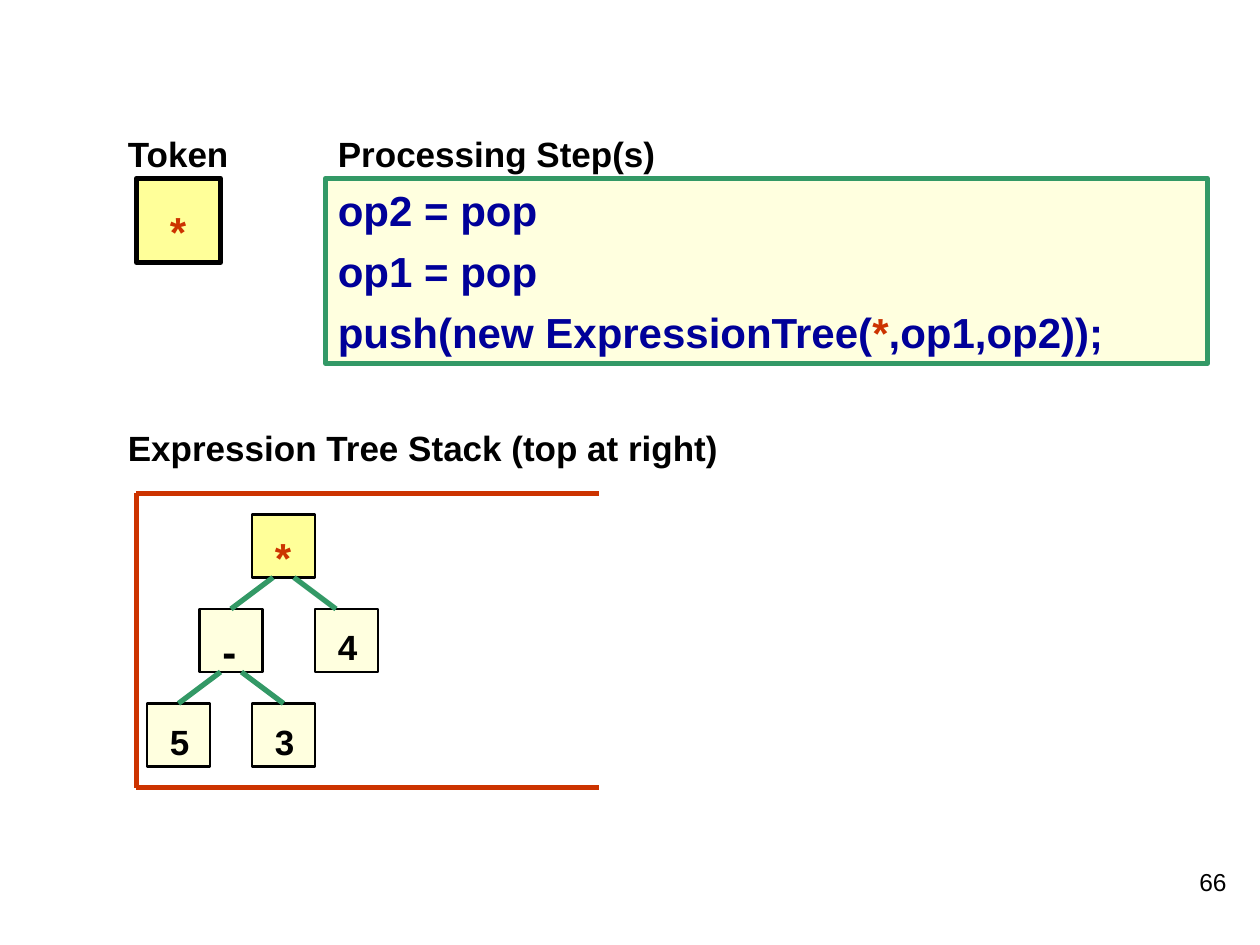
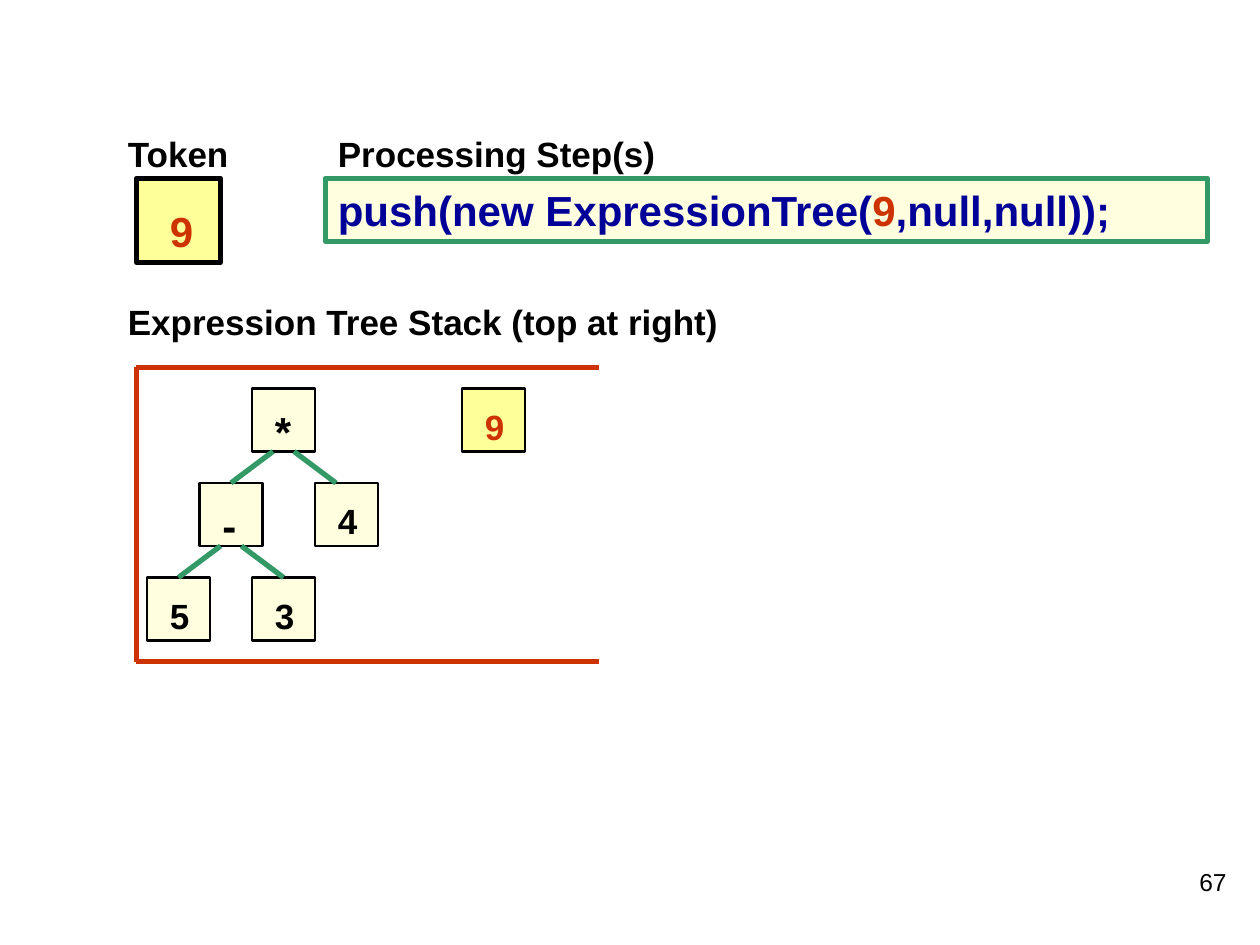
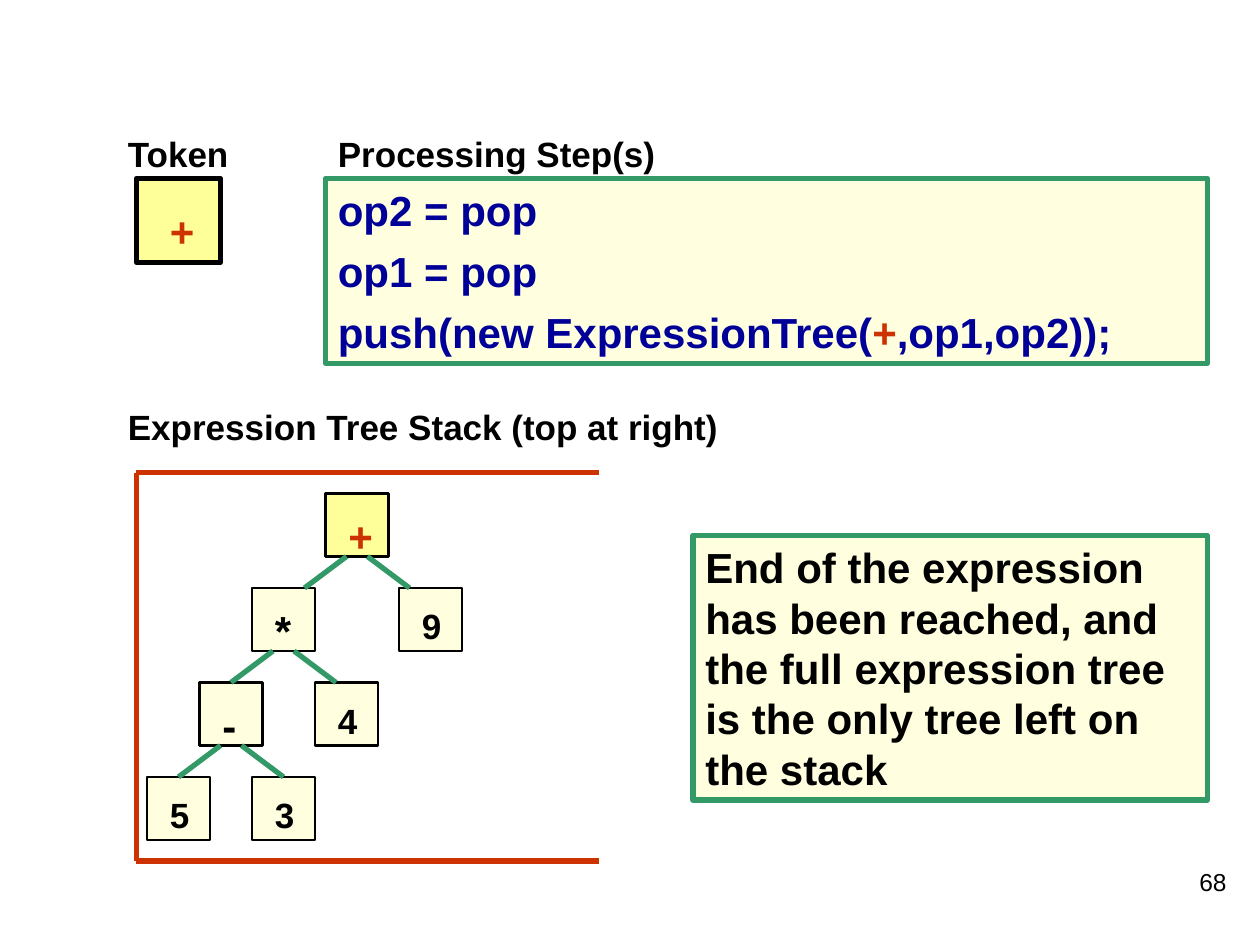
from dataclasses import dataclass

import pptx
import pptx.dml.color
import pptx.enum.shapes
import pptx.enum.text
import pptx.oxml.ns
import pptx.util
from lxml import etree

Pt = pptx.util.Pt
ALIGN = pptx.enum.text.PP_ALIGN


@dataclass(frozen=True)
class Theme:
    font: str = "Arial"
    ink: str = "000000"
    code: str = "000099"
    accent: str = "CC3300"
    green: str = "339966"
    cream: str = "FFFFDF"
    yellow: str = "FFFF99"
    large: int = 24
    medium: int = 20
    small: int = 14
    leading: float = 1.2
    step_gap: int = 6
    inset_x: float = 7.2
    inset_y: float = 3.6
    thick: float = 3
    thin: float = 1.5


THEME = Theme()
NODE = 36
LEVEL_STEP = 54


@dataclass(frozen=True)
class Node:
    symbol: str
    left: int  # offset from the left wall of the stack
    children: tuple = ()


def color(value):
    return pptx.dml.color.RGBColor.from_string(value)


def text_height(size, lines=1):
    """Height of a box that holds the given number of lines."""
    return lines * size * THEME.leading + 2 * THEME.inset_y


def write_text(shape, text, size=THEME.medium, ink=THEME.ink, bold=True,
               align=ALIGN.LEFT, space_before=0):
    """Fill a shape with paragraphs; a paragraph is a string or (text, colour) runs."""
    frame = shape.text_frame
    frame.word_wrap = True
    frame.vertical_anchor = pptx.enum.text.MSO_ANCHOR.TOP
    frame.margin_left = frame.margin_right = Pt(THEME.inset_x)
    frame.margin_top = frame.margin_bottom = Pt(THEME.inset_y)
    paragraphs = [text] if isinstance(text, str) else text
    for index, content in enumerate(paragraphs):
        paragraph = frame.add_paragraph() if index else frame.paragraphs[0]
        paragraph.alignment = align
        paragraph.line_spacing = Pt(size * THEME.leading)
        if index:
            paragraph.space_before = Pt(space_before)
        runs = [(content, ink)] if isinstance(content, str) else content
        for run_text, run_color in runs:
            run = paragraph.add_run()
            run.text = run_text
            run.font.name = THEME.font
            run.font.size = Pt(size)
            run.font.bold = bold
            run.font.color.rgb = color(run_color)


def add_text(slide, left, top, width, height, text, **text_format):
    box = slide.shapes.add_textbox(Pt(left), Pt(top), Pt(width), Pt(height))
    write_text(box, text, **text_format)


def add_box(slide, left, top, width, height, fill, line, weight):
    shape = slide.shapes.add_shape(pptx.enum.shapes.MSO_SHAPE.RECTANGLE,
                                   Pt(left), Pt(top), Pt(width), Pt(height))
    shape.shadow.inherit = False
    shape.fill.solid()
    shape.fill.fore_color.rgb = color(fill)
    shape.line.color.rgb = color(line)
    shape.line.width = Pt(weight)
    return shape


def add_line(slide, x1, y1, x2, y2, line):
    connector = slide.shapes.add_connector(pptx.enum.shapes.MSO_CONNECTOR.STRAIGHT,
                                           Pt(x1), Pt(y1), Pt(x2), Pt(y2))
    connector.line.color.rgb = color(line)
    connector.line.width = Pt(THEME.thick)
    etree.SubElement(connector._element.spPr, pptx.oxml.ns.qn("a:effectLst"))


def add_panel(slide, left, top, width, height, text, **text_format):
    panel = add_box(slide, left, top, width, height,
                    THEME.cream, THEME.green, THEME.thick)
    write_text(panel, text, size=THEME.large, **text_format)


def add_token(slide, left, top, token):
    add_box(slide, left, top, 48, 48, THEME.yellow, THEME.ink, THEME.thick)
    add_text(slide, left - 12, top - 30, 78, text_height(THEME.medium), "Token")
    add_text(slide, left + 12, top + 12, 36, 36, token,
             size=THEME.large, ink=THEME.accent)


def add_steps(slide, left, top, width, token, operands):
    """Processing panel: operators pop two operands before the push."""
    pops = [f"{operand} = pop" for operand in reversed(operands)]
    arguments = ",".join(operands or ("null", "null"))
    push = [("push(new ExpressionTree(", THEME.code), (token, THEME.accent),
            (f",{arguments}));", THEME.code)]
    steps = pops + [push]
    height = text_height(THEME.large, len(steps)) + THEME.step_gap * len(pops)
    add_panel(slide, left, top, width, height, steps,
              ink=THEME.code, space_before=THEME.step_gap)
    add_text(slide, left, top - 30, 222, text_height(THEME.medium),
             "Processing Step(s)")


def add_tree(slide, stack_left, top, node, token):
    """Draw a node, its edges, and then its subtrees one level lower."""
    left = stack_left + node.left
    is_new = node.symbol == token
    size = THEME.medium if node.symbol.isdigit() else THEME.large
    add_box(slide, left, top, NODE, NODE,
            THEME.yellow if is_new else THEME.cream, THEME.ink, THEME.thin)
    add_text(slide, left + 6, top + 6, 30, text_height(size), node.symbol,
             size=size, ink=THEME.accent if is_new else THEME.ink)
    for child, start, end in zip(node.children, (12, 24), (-12, 48)):
        add_tree(slide, stack_left, top + LEVEL_STEP, child, token)
        add_line(slide, left + start, top + NODE,
                 left + end, top + LEVEL_STEP, THEME.green)


def depth(node):
    return 1 + max(map(depth, node.children), default=0)


def add_stack(slide, left, top, width, trees, token):
    """Stack open on its right side, sized to its deepest tree."""
    add_text(slide, left - 12, top - 42, 372, text_height(THEME.medium),
             "Expression Tree Stack (top at right)")
    right = left + width
    bottom = top + LEVEL_STEP * max(map(depth, trees)) + 6
    for y in (top, bottom):
        add_line(slide, right, y, left, y, THEME.accent)
    add_line(slide, left, top, left, bottom, THEME.accent)
    for tree in trees:
        add_tree(slide, left, top + 12, tree, token)


def add_step_slide(presentation, number, token, operands, stack_top, trees):
    slide = presentation.slides.add_slide(presentation.slide_layouts[6])
    add_token(slide, 78, 102, token)
    add_steps(slide, 186, 102, 504, token, operands)
    add_stack(slide, 78, stack_top, 264, trees, token)
    # Slide number
    add_text(slide, 558, 492, 150, 36, str(number),
             size=THEME.small, bold=False, align=ALIGN.RIGHT)
    return slide


def main():
    presentation = pptx.Presentation()
    presentation.slide_width, presentation.slide_height = Pt(720), Pt(540)

    difference = Node("-", 36, (Node("5", 6), Node("3", 66)))
    product = Node("*", 66, (difference, Node("4", 102)))
    total = Node("+", 108, (product, Node("9", 150)))
    operands = ("op1", "op2")

    add_step_slide(presentation, 66, "*", operands, 282, [product])
    add_step_slide(presentation, 67, "9", (), 210, [product, Node("9", 186)])
    last_slide = add_step_slide(presentation, 68, "+", operands, 270, [total])
    # Closing remark
    add_panel(last_slide, 396, 306, 294, text_height(THEME.large, 5),
              "End of the expression has been reached, and the full expression "
              "tree is the only tree left on the stack")

    presentation.save("out.pptx")


if __name__ == "__main__":
    main()
